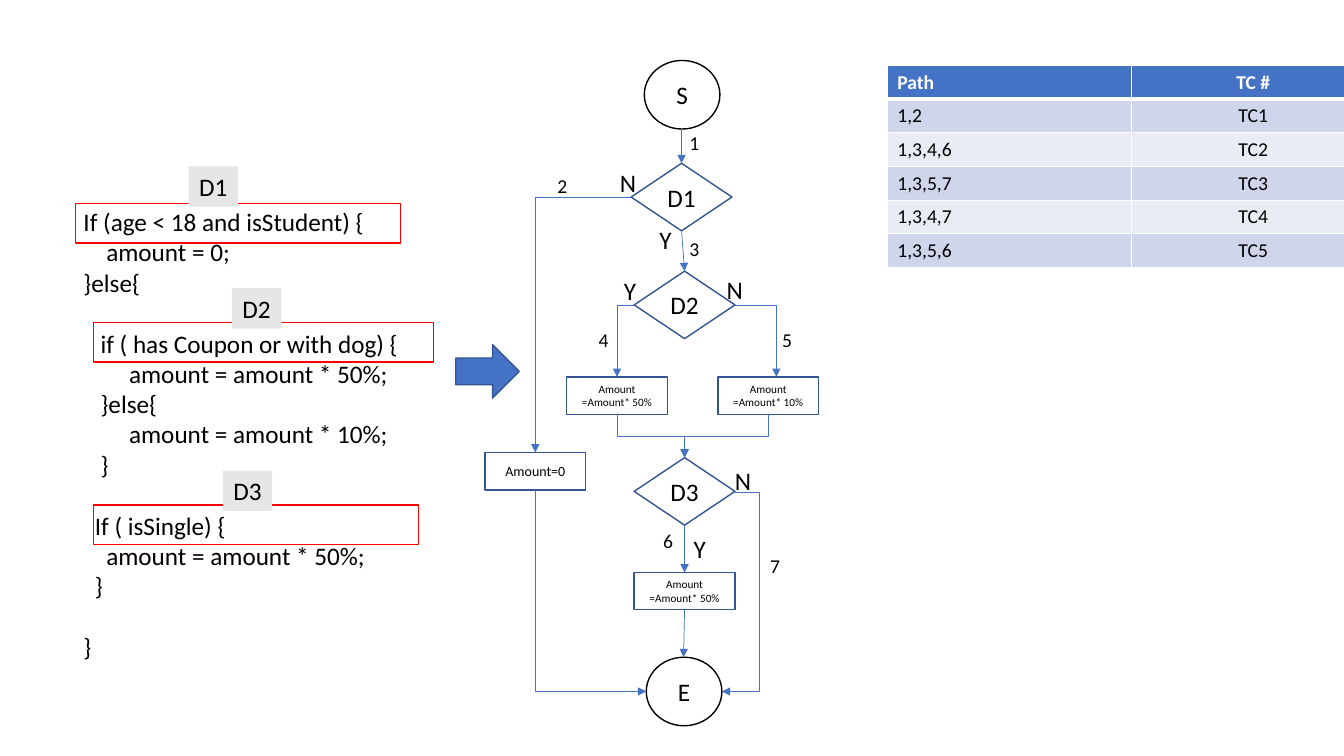
from copy import deepcopy

from pptx import Presentation
from pptx import util as u
from pptx.dml import color
from pptx.enum import shapes, text
from pptx.oxml import ns, xmlchemy

BLACK, WHITE, RED, GREY = "000000", "FFFFFF", "FF0000", "E7E6E6"
BLUE, DARK_BLUE = "4472C4", "325491"
BANDS = ("CFD5EA", "E9EBF5")
SPACE = 0.0565
KIND = shapes.MSO_SHAPE
LEFT, CENTER = text.PP_ALIGN.LEFT, text.PP_ALIGN.CENTER


def paint(target, hex_color):
    target.solid()
    target.fore_color.rgb = color.RGBColor.from_string(hex_color)


def add_element(parent, tag, **attributes):
    element = xmlchemy.OxmlElement(tag)
    for name, value in attributes.items():
        element.set(name, str(value))
    parent.append(element)
    return element


def write(paragraph, words, size=18, hex_color=BLACK, bold=False, align=LEFT):
    paragraph.text = words
    paragraph.alignment = align
    for run in paragraph.runs:
        run.font.name = "Calibri"
        run.font.size = u.Pt(size)
        run.font.bold = bold
        run.font.color.rgb = color.RGBColor.from_string(hex_color)
    for line_break in paragraph._p.findall(ns.qn("a:br")):
        line_break.append(deepcopy(paragraph.runs[0]._r.rPr))


def add_shape(slide, kind, box, words="", fill=None, line=None, size=18):
    shape = slide.shapes.add_shape(kind, *map(u.Inches, box))
    shape.shadow.inherit = False
    if fill:
        paint(shape.fill, fill)
    else:
        shape.fill.background()
    if line:
        paint(shape.line.fill, line)
        shape.line.width = u.Pt(1)
    else:
        shape.line.fill.background()
    if words:
        shape.text_frame.vertical_anchor = text.MSO_ANCHOR.MIDDLE
        write(shape.text_frame.paragraphs[0], words, size, align=CENTER)
    return shape


def add_label(slide, left, top, words, size, width, height):
    box = slide.shapes.add_textbox(*map(u.Inches, (left, top, width, height)))
    box.text_frame.word_wrap = False
    write(box.text_frame.paragraphs[0], words, size)


def add_code(slide, box, lines):
    frame = slide.shapes.add_textbox(*map(u.Inches, box)).text_frame
    frame.word_wrap = False
    for index, (spaces, words, gap) in enumerate(lines):
        paragraph = frame.add_paragraph() if index else frame.paragraphs[0]
        write(paragraph, words)
        paragraph.space_before = u.Pt(gap)
        paragraph._p.get_or_add_pPr().set("marL", str(u.Inches(spaces * SPACE)))


def style_arrow(connector):
    paint(connector.line.fill, BLUE)
    connector.line.width = u.Pt(0.5)
    add_element(connector.line._get_or_add_ln(), "a:tailEnd", type="triangle")
    add_element(connector._element.spPr, "a:effectLst")


def add_arrow(slide, start, end):
    points = map(u.Inches, start + end)
    style_arrow(slide.shapes.add_connector(shapes.MSO_CONNECTOR.STRAIGHT, *points))


def add_elbow(slide, start, end, bends, downward=False, middle=None):
    (x1, y1), (x2, y2) = start, end
    turn = 0
    if downward:
        turn = 270 if x2 > x1 else 90
        side = 1 if x2 > x1 else -1
        center_x, center_y = (x1 + x2) / 2, (y1 + y2) / 2
        half_width, half_height = (y2 - y1) / 2, abs(x2 - x1) / 2
        x1, x2 = center_x + side * half_width, center_x - side * half_width
        y1, y2 = center_y - half_height, center_y + half_height
    connector = slide.shapes.add_connector(
        shapes.MSO_CONNECTOR.ELBOW, *map(u.Inches, (x1, y1, x2, y2)))
    properties = connector._element.spPr
    if turn:
        properties.find(ns.qn("a:xfrm")).set("rot", str(turn * 60000))
    geometry = properties.find(ns.qn("a:prstGeom"))
    geometry.set("prst", f"bentConnector{bends + 1}")
    if middle is not None:
        guides = geometry.find(ns.qn("a:avLst"))
        if guides is None:
            guides = add_element(geometry, "a:avLst")
        add_element(guides, "a:gd", name="adj1", fmla=f"val {round(middle * 100000)}")
    style_arrow(connector)


def add_borders(cell, bottom):
    properties = cell._tc.get_or_add_tcPr()
    for index, side in enumerate("LRTB"):
        width = bottom if side == "B" else 1
        line = xmlchemy.OxmlElement(f"a:ln{side}")
        line.set("w", str(u.Pt(width)))
        add_element(add_element(line, "a:solidFill"), "a:srgbClr", val=WHITE)
        properties.insert(index, line)


def add_path_table(slide, left, top, column_width, row_height, rows):
    size = (left, top, 2 * column_width, row_height * len(rows))
    table = slide.shapes.add_table(len(rows), 2, *map(u.Inches, size)).table
    for row_index, row in enumerate(rows):
        header = row_index == 0
        for column_index, words in enumerate(row):
            cell = table.cell(row_index, column_index)
            paint(cell.fill, BLUE if header else BANDS[(row_index - 1) % 2])
            write(cell.text_frame.paragraphs[0], words, 14, WHITE if header else BLACK,
                  header, CENTER if column_index else LEFT)
            add_borders(cell, 3 if header else 1)


def add_program(slide):
    add_code(slide, (0.73, 2, 3.36, 4.64), [
        (0, "If (age < 18 and isStudent) {", 0),
        (4, "amount = 0;", 0),
        (0, "}else{", 0),
        (3, "if ( has Coupon or with dog) {", 22),
        (8, "amount = amount * 50%;", 0),
        (3, "}else{", 0),
        (8, "amount = amount * 10%;", 0),
        (3, "}", 0),
        (2, "If ( isSingle) {", 22),
        (4, "amount = amount * 50%;", 0),
        (2, "}", 0),
        (0, "}", 22),
    ])
    for left, top, width in ((0.75, 2.02, 3.22), (0.93, 3.2, 3.37), (0.93, 5.01, 3.22)):
        add_shape(slide, KIND.RECTANGLE, (left, top, width, 0.39), line=RED)
    for words, left, top in (("D1", 1.87, 1.65), ("D2", 2.3, 2.86), ("D3", 2.21, 4.67)):
        tag = add_shape(slide, KIND.RECTANGLE, (left, top, 0.49, 0.4), words, GREY)
        tag.text_frame.word_wrap = False


def add_flowchart(slide):
    for words, left, top in (("S", 6.39, 0.6), ("E", 6.41, 6.52)):
        add_shape(slide, KIND.OVAL, (left, top, 0.75, 0.68), words, line=BLACK)
    for words, left, top in (("D1", 6.26, 1.62), ("D2", 6.29, 2.69), ("D3", 6.29, 4.54)):
        add_shape(slide, KIND.FLOWCHART_DECISION, (left, top, 1, 0.67), words,
                  line=DARK_BLUE)
    for words, left, top, size in (
            ("Amount\v=Amount* 50%", 5.62, 3.74, 8), ("Amount\v=Amount* 10%", 7.12, 3.74, 8),
            ("Amount\v=Amount* 50%", 6.29, 5.68, 8), ("Amount=0", 4.81, 4.49, 10)):
        add_shape(slide, KIND.RECTANGLE, (left, top, 1, 0.37), words,
                  line=DARK_BLUE, size=size)

    for start, end in (((6.76, 1.28), (6.76, 1.62)), ((6.76, 2.29), (6.79, 2.69)),
                       ((6.79, 5.21), (6.79, 5.68)), ((6.79, 6.05), (6.78, 6.52))):
        add_arrow(slide, start, end)
    for start, end in (((6.26, 1.96), (5.31, 4.49)), ((6.29, 3.03), (6.12, 3.74)),
                       ((7.29, 3.03), (7.7, 3.74))):
        add_elbow(slide, start, end, 1)
    for start in ((6.12, 4.11), (7.62, 4.11)):
        add_elbow(slide, start, (6.79, 4.54), 2, downward=True)
    add_elbow(slide, (5.31, 4.86), (6.41, 6.86), 1, downward=True)
    add_elbow(slide, (7.29, 4.88), (7.16, 6.86), 2, middle=-1.87)

    edges = ((6.74, 1.25), (5.43, 1.68), (6.74, 2.3), (5.84, 3.2),
             (7.66, 3.2), (6.48, 5.2), (7.54, 5.45))
    for number, (left, top) in enumerate(edges, 1):
        add_label(slide, left, top, str(number), 14, 0.3, 0.34)
    for answer, left, top in (("Y", 6.44, 2.18), ("N", 6.05, 1.61), ("Y", 6.09, 2.68),
                              ("N", 7.11, 2.67), ("Y", 6.78, 5.24), ("N", 7.19, 4.57)):
        add_label(slide, left, top, answer, 18, 0.32 if answer == "Y" else 0.36, 0.4)


def main():
    presentation = Presentation()
    presentation.slide_width = u.Inches(13.33)
    presentation.slide_height = u.Inches(7.5)
    slide = presentation.slides.add_slide(presentation.slide_layouts[6])
    add_program(slide)
    add_flowchart(slide)
    paths = ("1,2", "1,3,4,6", "1,3,5,7", "1,3,4,7", "1,3,5,6")
    rows = [("Path", "TC #")]
    rows += [(route, f"TC{number}") for number, route in enumerate(paths, 1)]
    add_path_table(slide, 8.8, 0.65, 2.42, 0.33, rows)
    add_shape(slide, KIND.RIGHT_ARROW, (4.52, 3.42, 0.63, 0.53), fill=BLUE, line=DARK_BLUE)
    presentation.save("out.pptx")


main()
